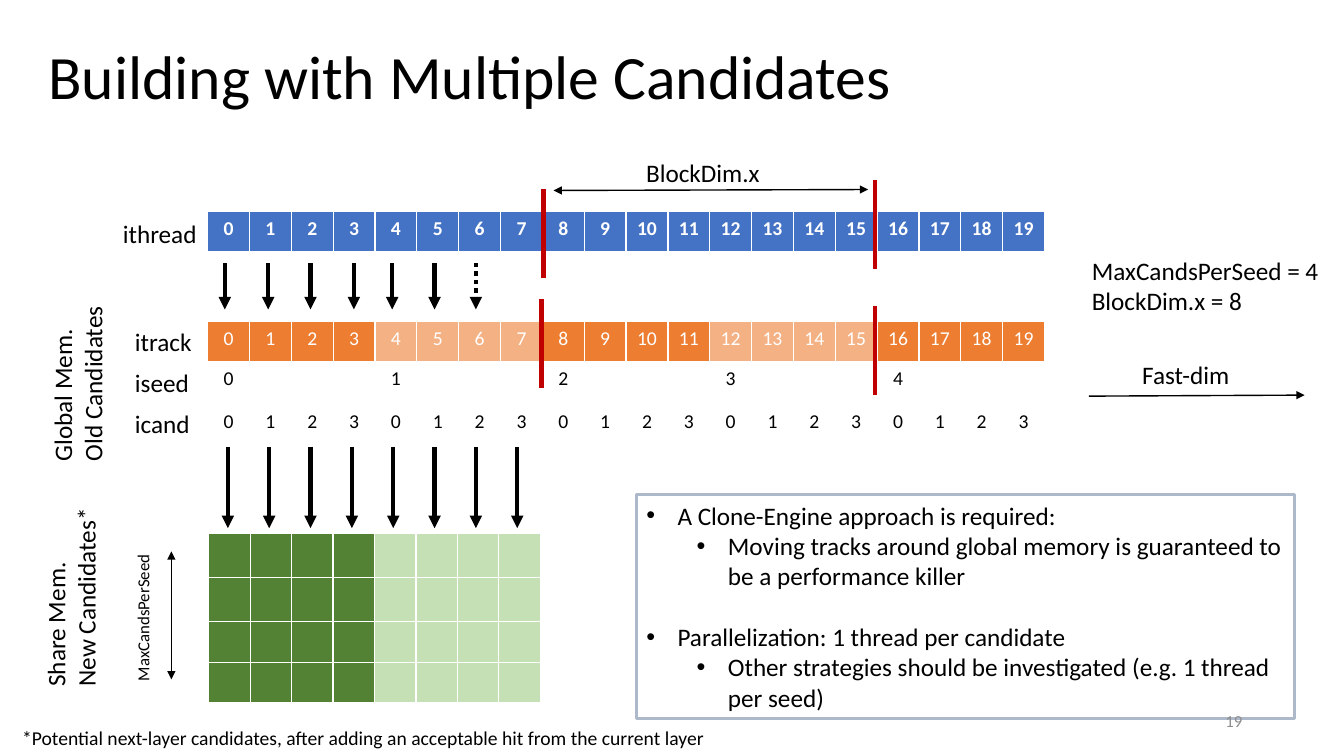
from dataclasses import dataclass
from typing import Optional

from lxml import etree
from pptx import Presentation
from pptx import util as u
from pptx.dml.color import RGBColor
from pptx.enum import dml, shapes, text
from pptx.oxml.ns import qn

PX = 9144  # 100 px to the inch
FONT = "Calibri"
BLACK, WHITE, RED, GRAY = "000000", "FFFFFF", "C00000", "8C8C8C"
BLUE, ORANGE, PEACH = "4472C4", "ED7D31", "F4B183"
DARK_GREEN, PALE_GREEN, FRAME = "548235", "C5E0B4", "ADB9CA"
THREADS, CANDIDATES, BLOCK = 20, 4, 8


@dataclass
class Label:
    wording: str
    left: int
    top: int
    width: int
    height: int
    size: int = 18
    rotation: int = 0
    wrap: bool = False
    color: str = BLACK
    align: text.PP_ALIGN = text.PP_ALIGN.LEFT


@dataclass
class Line:
    x1: int
    y1: int
    x2: int
    y2: int
    color: str = BLACK
    weight: int = 3
    head: bool = False
    tail: bool = True
    dotted: bool = False


@dataclass
class Grid:
    left: int
    top: int
    width: int
    heights: list[int]
    wording: list[str]
    fills: list[Optional[str]]
    color: str = BLACK
    bold: bool = False
    bottom: int = 1


def px(length: int) -> u.Emu:
    return u.Emu(length * PX)


def rgb(value: str) -> RGBColor:
    return RGBColor.from_string(value)


def place(box, left: int, top: int, width: int, height: int) -> None:
    box.left, box.top, box.width, box.height = map(px, (left, top, width, height))


def style(para, size: int, color: str = BLACK, bold: bool = False) -> None:
    para.font.name = FONT
    para.font.size = u.Pt(size)
    para.font.bold = bold
    para.font.color.rgb = rgb(color)


def add_label(page, label: Label) -> None:
    box = page.shapes.add_textbox(0, 0, 0, 0)
    place(box, label.left, label.top, label.width, label.height)
    box.rotation = label.rotation
    frame = box.text_frame
    frame.word_wrap = label.wrap
    frame.auto_size = text.MSO_AUTO_SIZE.SHAPE_TO_FIT_TEXT
    frame.text = label.wording
    for para in frame.paragraphs:
        para.alignment = label.align
        style(para, label.size, label.color)


def add_line(page, line: Line) -> None:
    connector = page.shapes.add_connector(
        shapes.MSO_CONNECTOR.STRAIGHT, *map(px, (line.x1, line.y1, line.x2, line.y2)))
    connector.line.color.rgb = rgb(line.color)
    connector.line.width = u.Pt(line.weight)
    if line.dotted:
        connector.line.dash_style = dml.MSO_LINE.ROUND_DOT
    properties = connector._element.spPr
    outline = properties.find(qn("a:ln"))
    for tag, wanted in (("a:headEnd", line.head), ("a:tailEnd", line.tail)):
        if wanted:
            etree.SubElement(outline, qn(tag), type="triangle")
    etree.SubElement(properties, qn("a:effectLst"))


def add_borders(cell, bottom: int) -> None:
    properties = cell._tc.get_or_add_tcPr()
    for side, weight in (("L", 1), ("R", 1), ("T", 1), ("B", bottom)):
        border = etree.SubElement(properties, qn(f"a:ln{side}"), w=str(u.Pt(weight)))
        fill = etree.SubElement(border, qn("a:solidFill"))
        etree.SubElement(fill, qn("a:srgbClr"), val=WHITE)


def add_grid(page, grid: Grid) -> None:
    columns = len(grid.fills)
    table = page.shapes.add_table(
        len(grid.heights), columns, px(grid.left), px(grid.top),
        px(grid.width), px(sum(grid.heights))).table
    table.first_row = table.horz_banding = False
    for column in table.columns:
        column.width = px(grid.width) // columns
    for row, height in zip(table.rows, grid.heights):
        row.height = px(height)
        for cell, wording, fill in zip(row.cells, grid.wording, grid.fills):
            if fill:
                add_borders(cell, grid.bottom)
                cell.fill.solid()
                cell.fill.fore_color.rgb = rgb(fill)
            else:
                cell.fill.background()
            cell.text = wording
            para = cell.text_frame.paragraphs[0]
            para.alignment = text.PP_ALIGN.CENTER
            style(para, 14, grid.color, grid.bold)


def add_bullet(para, level: int, wording: str, before: int) -> None:
    para.text = wording
    para.level = level
    properties = para._p.get_or_add_pPr()
    properties.set("marL", str(px(31 + 50 * level)))
    properties.set("indent", str(px(-31)))
    etree.SubElement(properties, qn("a:buFont"), typeface="Arial")
    etree.SubElement(properties, qn("a:buChar"), char="•")
    para.space_before = u.Pt(before)
    style(para, 18)


def main() -> None:
    deck = Presentation()
    deck.slide_width, deck.slide_height = u.Inches(13.33), u.Inches(7.5)
    page = deck.slides.add_slide(deck.slide_layouts[1])

    # Title
    title = page.shapes.title
    place(title, 38, 28, 1150, 101)
    title.text_frame.text = "Building with Multiple Candidates"
    title.text_frame.vertical_anchor = text.MSO_ANCHOR.MIDDLE
    heading = title.text_frame.paragraphs[0]
    heading.alignment = text.PP_ALIGN.LEFT
    heading.line_spacing = 0.9
    style(heading, 44)

    # Thread, track, seed and candidate rows, then the shared memory grid
    indices = range(THREADS)
    numbers = [str(i) for i in indices]
    tracks = [(ORANGE, PEACH)[i // CANDIDATES % 2] for i in indices]
    seeds = ["" if i % CANDIDATES else str(i // CANDIDATES) for i in indices]
    candidates = [str(i % CANDIDATES) for i in indices]
    shared = [DARK_GREEN] * CANDIDATES + [PALE_GREEN] * CANDIDATES
    for grid in (
        Grid(206, 210, 830, [41], numbers, [BLUE] * THREADS, WHITE, True, 3),
        Grid(206, 319, 830, [41], numbers, tracks, WHITE, False, 3),
        Grid(207, 529, 329, [44, 44, 40, 40], [""] * BLOCK, shared),
        Grid(206, 359, 830, [41], seeds, [None] * THREADS),
        Grid(206, 402, 830, [41], candidates, [None] * THREADS),
    ):
        add_grid(page, grid)

    # Arrows from threads to tracks and from candidates to shared memory
    lines = [Line(x, 261, x, 307) for x in (223, 266, 308, 351, 389, 431)]
    lines.append(Line(472, 261, 472, 307, dotted=True))
    lines += [Line(x, 443, x, 524) for x in range(226, 515, 41)]
    # Block limits
    lines += [Line(x, y, x, y + 88, RED, tail=False)
              for x, y in ((539, 188), (868, 179), (537, 297), (868, 304))]
    # Dimension arrows
    lines += [
        Line(549, 189, 861, 188, weight=1, head=True),
        Line(170, 547, 170, 674, weight=1, head=True),
        Line(1080, 393, 1294, 392, weight=1),
    ]
    for line in lines:
        add_line(page, line)

    # Bulleted list
    notes = page.placeholders[1]
    place(notes, 631, 491, 653, 222)
    notes.line.color.rgb = rgb(FRAME)
    notes.line.width = u.Pt(2.25)
    frame = notes.text_frame
    frame.auto_size = text.MSO_AUTO_SIZE.NONE
    frame.vertical_anchor = text.MSO_ANCHOR.TOP
    for i, (level, wording, before) in enumerate((
        (0, "A Clone-Engine approach is required:", 0),
        (1, "Moving tracks around global memory is guaranteed to be a performance killer", 0),
        (0, "Parallelization: 1 thread per candidate", 22),
        (1, "Other strategies should be investigated (e.g. 1 thread per seed)", 0),
    )):
        para = frame.add_paragraph() if i else frame.paragraphs[0]
        add_bullet(para, level, wording, before)

    # Labels, slide number and footnote
    for label in (
        Label("ithread", 112, 212, 95, 40),
        Label("itrack", 124, 319, 79, 40),
        Label("iseed", 124, 359, 75, 40),
        Label("icand", 124, 400, 76, 40),
        Label("BlockDim.x", 631, 151, 140, 40),
        Label("MaxCandsPerSeed", 66, 595, 151, 30, 12, 270),
        Label("MaxCandsPerSeed = 4\nBlockDim.x = 8", 1073, 248, 251, 71),
        Label("Global Mem.\nOld Candidates", -11, 344, 176, 71, rotation=270),
        Label("Share Mem.\nNew Candidates*", -29, 556, 199, 71, rotation=270),
        Label("Fast-dim", 1123, 352, 112, 40),
        Label("19", 942, 700, 300, 30, 12, 0, True, GRAY, text.PP_ALIGN.RIGHT),
        Label("*Potential next-layer candidates, after adding an acceptable hit "
              "from the current layer", 12, 715, 715, 34, 14, wrap=True),
    ):
        add_label(page, label)

    deck.save("out.pptx")


if __name__ == "__main__":
    main()
